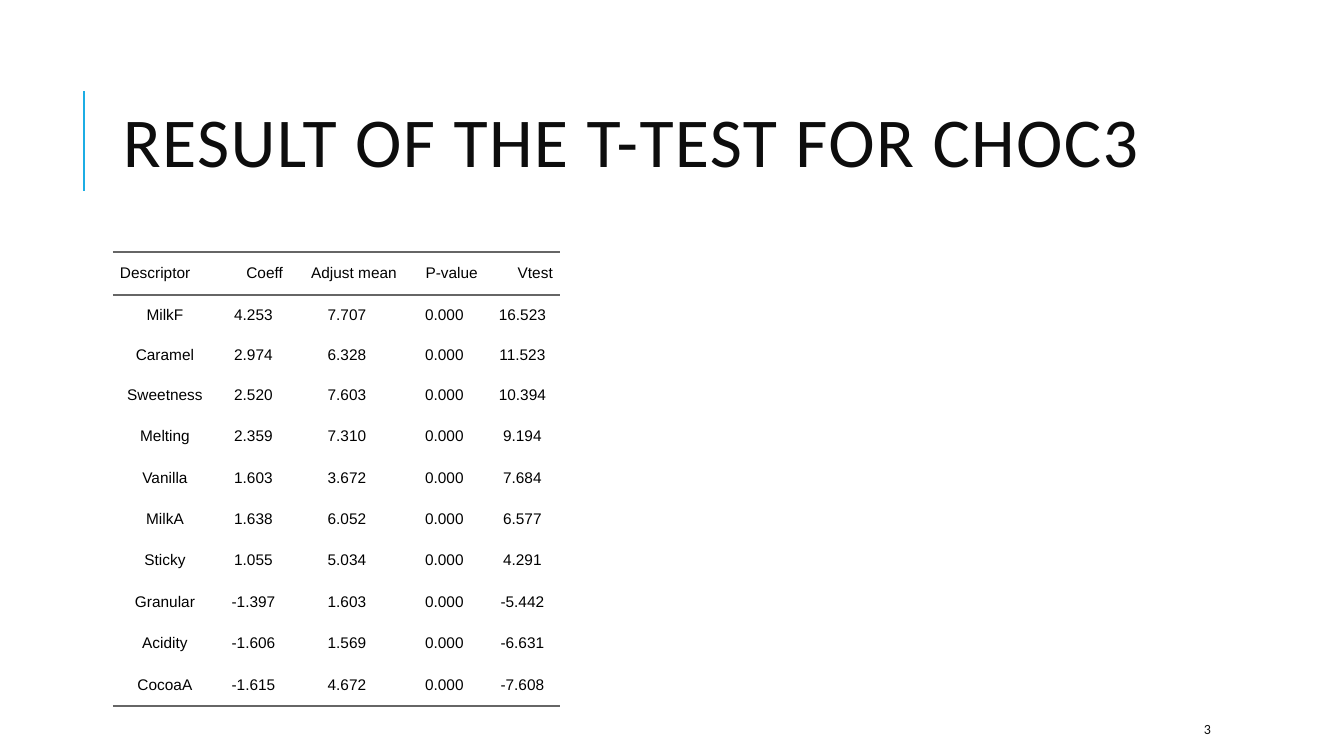
from lxml.etree import SubElement
from pptx import Presentation
from pptx.dml.color import RGBColor
from pptx.enum.shapes import MSO_CONNECTOR
from pptx.enum.text import MSO_ANCHOR, PP_ALIGN
from pptx.oxml.ns import qn
from pptx.util import Emu, Pt

COLORS = {"accent": "1CADE4", "heading": "0D0D0D", "body": "000000", "rule": "666666"}
PADDING = 7


def px(length):
    return Emu(round(length * 914400 / 100.8))


def add_run(paragraph, text, font, size, color):
    run = paragraph.add_run()
    run.text = text
    run.font.name = font
    run.font.size = Pt(size)
    run.font.color.rgb = RGBColor.from_string(COLORS[color])
    return run


presentation = Presentation()
presentation.slide_width, presentation.slide_height = px(1344), px(756)
slide = presentation.slides.add_slide(presentation.slide_layouts[6])

# Accent line beside the title
accent_line = slide.shapes.add_connector(MSO_CONNECTOR.STRAIGHT, px(84), px(191), px(84), px(91))
accent_line.line.color.rgb = RGBColor.from_string(COLORS["accent"])
accent_line.line.width = Pt(1.5)
SubElement(accent_line._element.spPr, qn("a:effectLst"))

# Title and page number
labels = [
    ("RESULT OF THE T-TEST FOR CHOC3", 50, (113, 65, 1072, 165)),
    ("3", 10, (1194, 714, 107, 30)),
]
for text, size, box in labels:
    frame = slide.shapes.add_textbox(*map(px, box)).text_frame
    frame.word_wrap = True
    frame.vertical_anchor = MSO_ANCHOR.MIDDLE
    paragraph = frame.paragraphs[0]
    run = add_run(paragraph, text, "Calibri", size, "heading")
    if size == 50:
        paragraph.line_spacing = 0.8
        run._r.get_or_add_rPr().set("spc", "100")

# Table of test results
rows = [
    ("Descriptor", "Coeff", "Adjust mean", "P-value", "Vtest"),
    ("MilkF", "4.253", "7.707", "0.000", "16.523"),
    ("Caramel", "2.974", "6.328", "0.000", "11.523"),
    ("Sweetness", "2.520", "7.603", "0.000", "10.394"),
    ("Melting", "2.359", "7.310", "0.000", "9.194"),
    ("Vanilla", "1.603", "3.672", "0.000", "7.684"),
    ("MilkA", "1.638", "6.052", "0.000", "6.577"),
    ("Sticky", "1.055", "5.034", "0.000", "4.291"),
    ("Granular", "-1.397", "1.603", "0.000", "-5.442"),
    ("Acidity", "-1.606", "1.569", "0.000", "-6.631"),
    ("CocoaA", "-1.615", "4.672", "0.000", "-7.608"),
]
column_widths = [104, 73, 114, 81, 75]
row_heights = [43, 40, 40, 40, 43, 41, 40, 43, 40, 43, 41]
last_row = len(rows) - 1
table = slide.shapes.add_table(len(rows), len(column_widths), px(113), px(252),
                               px(sum(column_widths)), px(sum(row_heights))).table
table.first_row = table.horz_banding = False
table._tbl.tblPr.find(qn("a:tableStyleId")).text = "{2D5ABB26-0587-4C30-8999-92F81FD0307C}"
for column, width in zip(table.columns, column_widths):
    column.width = px(width)

for row_index, values in enumerate(rows):
    table.rows[row_index].height = px(row_heights[row_index])
    for column_index, value in enumerate(values):
        cell = table.cell(row_index, column_index)
        cell.margin_left = cell.margin_right = 0
        cell.margin_top = cell.margin_bottom = px(PADDING)
        cell.vertical_anchor = MSO_ANCHOR.MIDDLE

        # Rules above and below the header, and under the last row
        sides = {0: ("a:lnT", "a:lnB"), last_row: ("a:lnB",)}.get(row_index, ())
        for side in sides:
            border = SubElement(cell._tc.get_or_add_tcPr(), qn(side), w=str(Pt(1.5)))
            border_fill = SubElement(border, qn("a:solidFill"))
            SubElement(border_fill, qn("a:srgbClr"), val=COLORS["rule"])
        cell.fill.background()

        # Cell text
        paragraph = cell.text_frame.paragraphs[0]
        if row_index:
            paragraph.alignment = PP_ALIGN.CENTER
        else:
            paragraph.alignment = PP_ALIGN.RIGHT if column_index else PP_ALIGN.LEFT
        paragraph.space_before = paragraph.space_after = Pt(5)
        properties = paragraph._p.get_or_add_pPr()
        for name, indent in (("marL", px(PADDING)), ("marR", px(PADDING)), ("indent", 0)):
            properties.set(name, str(indent))
        add_run(paragraph, value, "Arial", 11, "body")

presentation.save("out.pptx")
